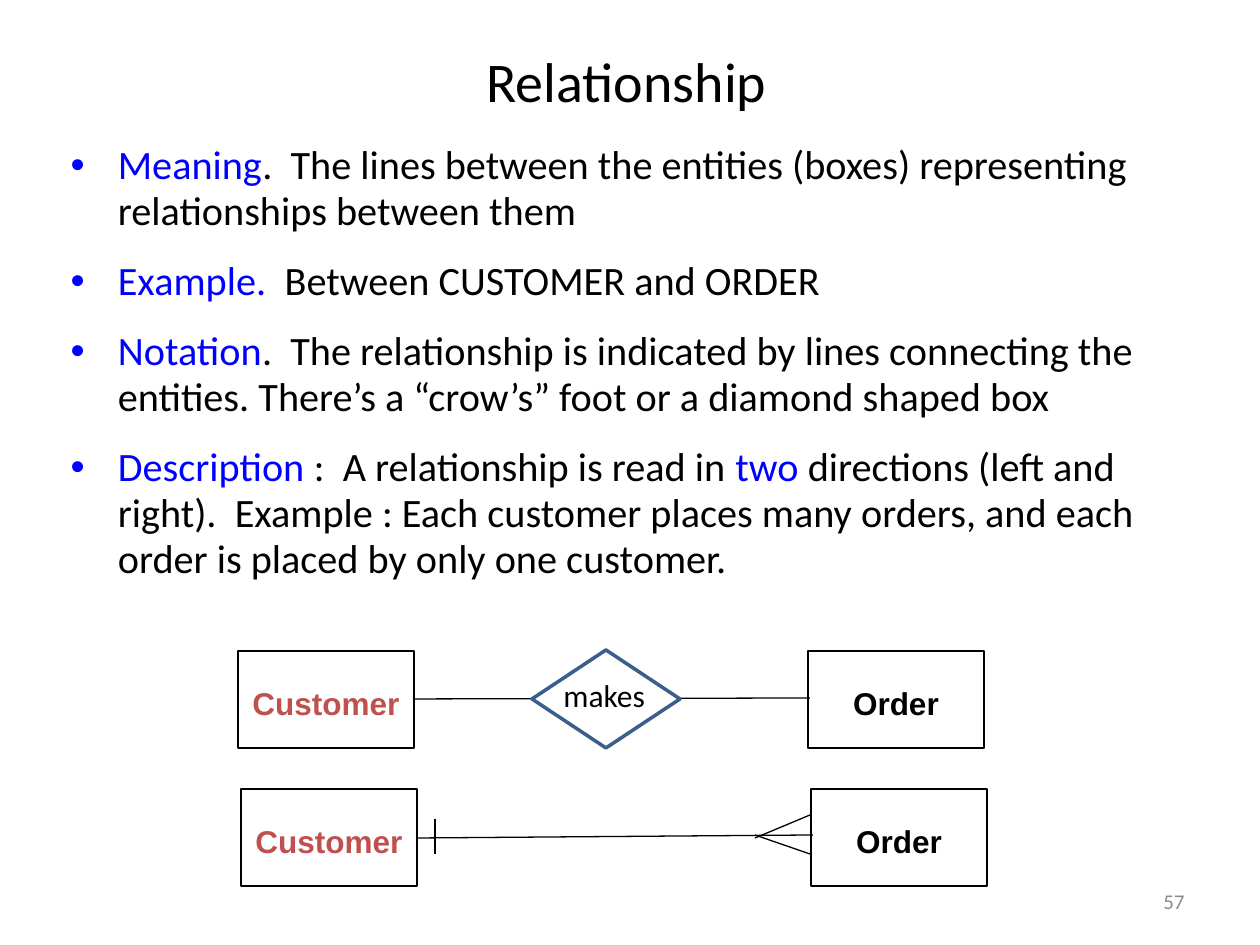
from lxml.etree import SubElement
from pptx import Presentation
from pptx.dml.color import RGBColor
from pptx.enum.shapes import MSO_CONNECTOR, MSO_SHAPE
from pptx.enum.text import MSO_ANCHOR, MSO_AUTO_SIZE, PP_ALIGN
from pptx.oxml.ns import qn
from pptx.util import Emu, Pt

PX_PER_INCH = 126
COLORS = {
    "ink": "000000", "term": "0000FF", "customer": "C0504D",
    "paper": "FFFFFF", "diamond": "3A5F8C", "number": "8C8C8C",
}

TITLE = "Relationship"
BULLETS = [
    [("Meaning", "term"),
     (".  The lines between the entities (boxes) representing relationships between them", "ink")],
    [("Example.  ", "term"), ("Between CUSTOMER and ORDER", "ink")],
    [("Notation", "term"),
     (".  The relationship is indicated by lines connecting the entities. "
      "There’s a “crow’s” foot or a diamond shaped box", "ink")],
    [("Description", "term"), (" :  A relationship is read in ", "ink"), ("two ", "term"),
     ("directions (left and right).  Example : Each customer places many orders, "
      "and each order is placed by only one customer.", "ink")],
]
PAGE_NUMBER = "57"

# Entities and lines are placed relative to the corner of each diagram.
ENTITIES = [("Customer", "customer", 0), ("Order", "ink", 570)]
ENTITY_SIZE = (176, 97)
CROWS_FOOT = {
    "corner": (241, 789),
    "lines": [(175, 49, 572, 46), (514, 49, 569, 26), (514, 46, 569, 65), (194, 30, 194, 65)],
}
DIAMOND = {"corner": (238, 651), "lines": [(175, 48, 572, 47)]}


def px(*lengths):
    return [Emu(round(length * 914400 / PX_PER_INCH)) for length in lengths]


def color(name):
    return RGBColor.from_string(COLORS[name])


def style(run, size, ink, font="Calibri", bold=False):
    run.font.size = Pt(size)
    run.font.name = font
    run.font.bold = bold
    run.font.color.rgb = color(ink)


def place(shape, *box):
    shape.left, shape.top, shape.width, shape.height = px(*box)


def add_label(shapes, box, text, size, ink, align, wrap=True):
    label = shapes.add_textbox(*px(*box))
    frame = label.text_frame
    frame.word_wrap = wrap
    frame.vertical_anchor = MSO_ANCHOR.MIDDLE
    paragraph = frame.paragraphs[0]
    paragraph.text = text
    paragraph.alignment = align
    style(paragraph.runs[0], size, ink)


def add_outlined(shapes, kind, box, line, width):
    shape = shapes.add_shape(kind, *px(*box))
    shape.shadow.inherit = False
    shape.fill.solid()
    shape.fill.fore_color.rgb = color("paper")
    shape.line.color.rgb = color(line)
    shape.line.width = Pt(width)
    return shape


def add_line(shapes, ends):
    line = shapes.add_connector(MSO_CONNECTOR.STRAIGHT, *px(*ends))
    line.line.color.rgb = color("ink")
    line.line.width = Pt(0.75)
    SubElement(line._element.spPr, qn("a:effectLst"))


def add_diagram(slide, diagram):
    """Draw both entities and their lines, and return the group's shapes."""
    shapes = slide.shapes.add_group_shape().shapes
    left, top = diagram["corner"]
    for name, ink, offset in ENTITIES:
        entity = add_outlined(shapes, MSO_SHAPE.RECTANGLE,
                              (left + offset, top, *ENTITY_SIZE), "ink", 0.75)
        frame = entity.text_frame
        frame.vertical_anchor = MSO_ANCHOR.MIDDLE
        frame.margin_left, frame.margin_right, frame.margin_top, frame.margin_bottom = px(0, 0, 6, 0)
        paragraph = frame.paragraphs[0]
        paragraph.text = name
        paragraph.alignment = PP_ALIGN.CENTER
        style(paragraph.runs[0], 18, ink, "Arial", True)
    for x1, y1, x2, y2 in diagram["lines"]:
        add_line(shapes, (left + x1, top + y1, left + x2, top + y2))
    return shapes


def main():
    deck = Presentation()
    deck.slide_width, deck.slide_height = px(1260, 945)
    slide = deck.slides.add_slide(deck.slide_layouts[1])

    title = slide.shapes.title
    place(title, 49, 32, 1155, 97)
    title.text_frame.text = TITLE
    title.text_frame.auto_size = MSO_AUTO_SIZE.NONE
    title.text_frame.vertical_anchor = MSO_ANCHOR.MIDDLE
    heading = title.text_frame.paragraphs[0]
    heading.alignment = PP_ALIGN.CENTER
    style(heading.runs[0], 32, "ink")

    body = slide.placeholders[1]
    place(body, 58, 137, 1154, 473)
    frame = body.text_frame
    frame.auto_size = MSO_AUTO_SIZE.NONE
    for index, parts in enumerate(BULLETS):
        paragraph = frame.add_paragraph() if index else frame.paragraphs[0]
        paragraph.line_spacing = 0.95
        paragraph.space_before = Pt(13.8 if index else 0)
        for text, ink in parts:
            run = paragraph.add_run()
            run.text = text
            style(run, 23, ink)

    add_diagram(slide, CROWS_FOOT)
    add_label(slide.shapes, (903, 876, 294, 50), PAGE_NUMBER, 12, "number", PP_ALIGN.RIGHT)

    shapes = add_diagram(slide, DIAMOND)
    add_outlined(shapes, MSO_SHAPE.DIAMOND, (532, 650, 148, 98), "diamond", 2)
    add_label(shapes, (551, 669, 107, 51), "makes", 18, "ink", PP_ALIGN.LEFT, wrap=False)

    deck.save("out.pptx")


if __name__ == "__main__":
    main()
